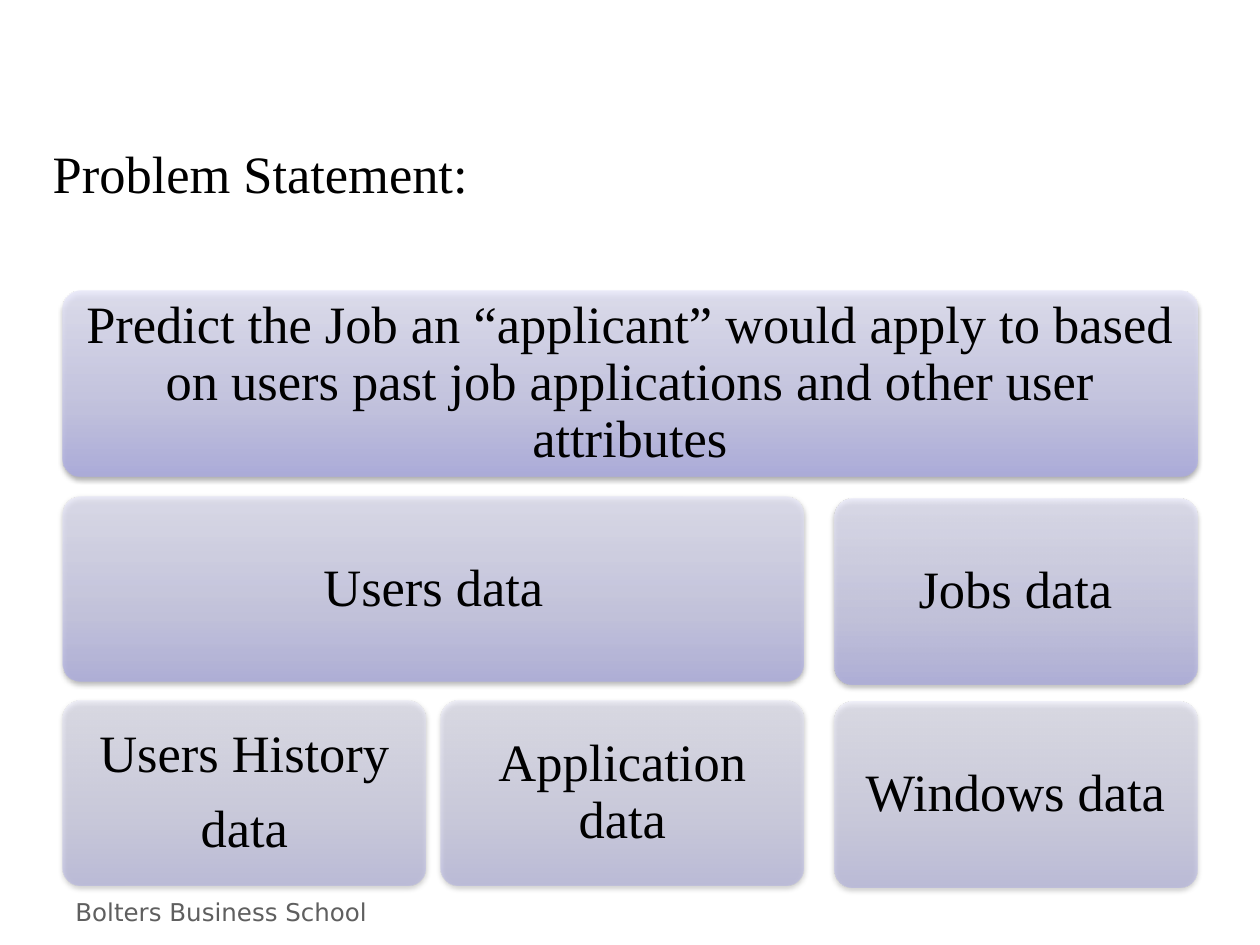
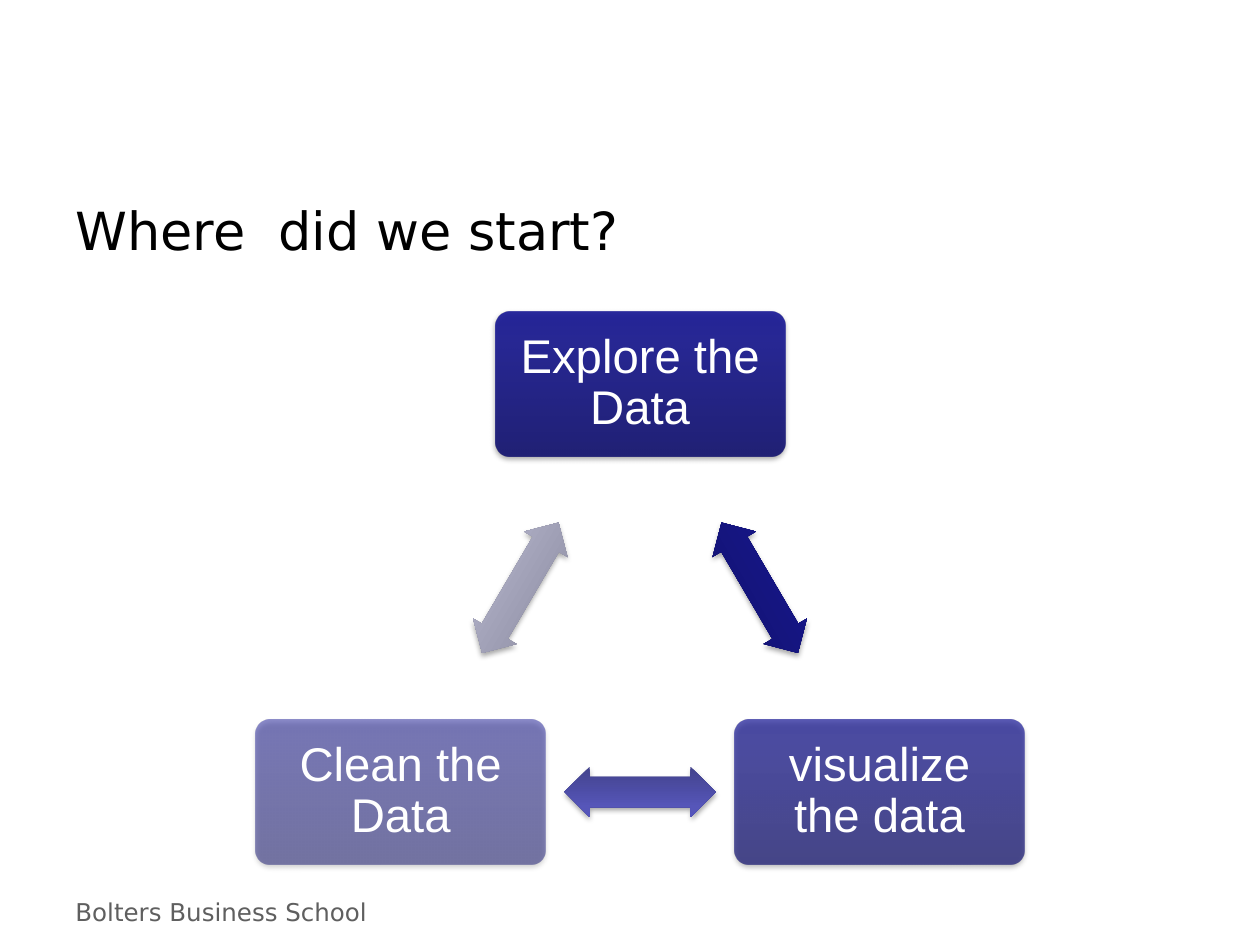
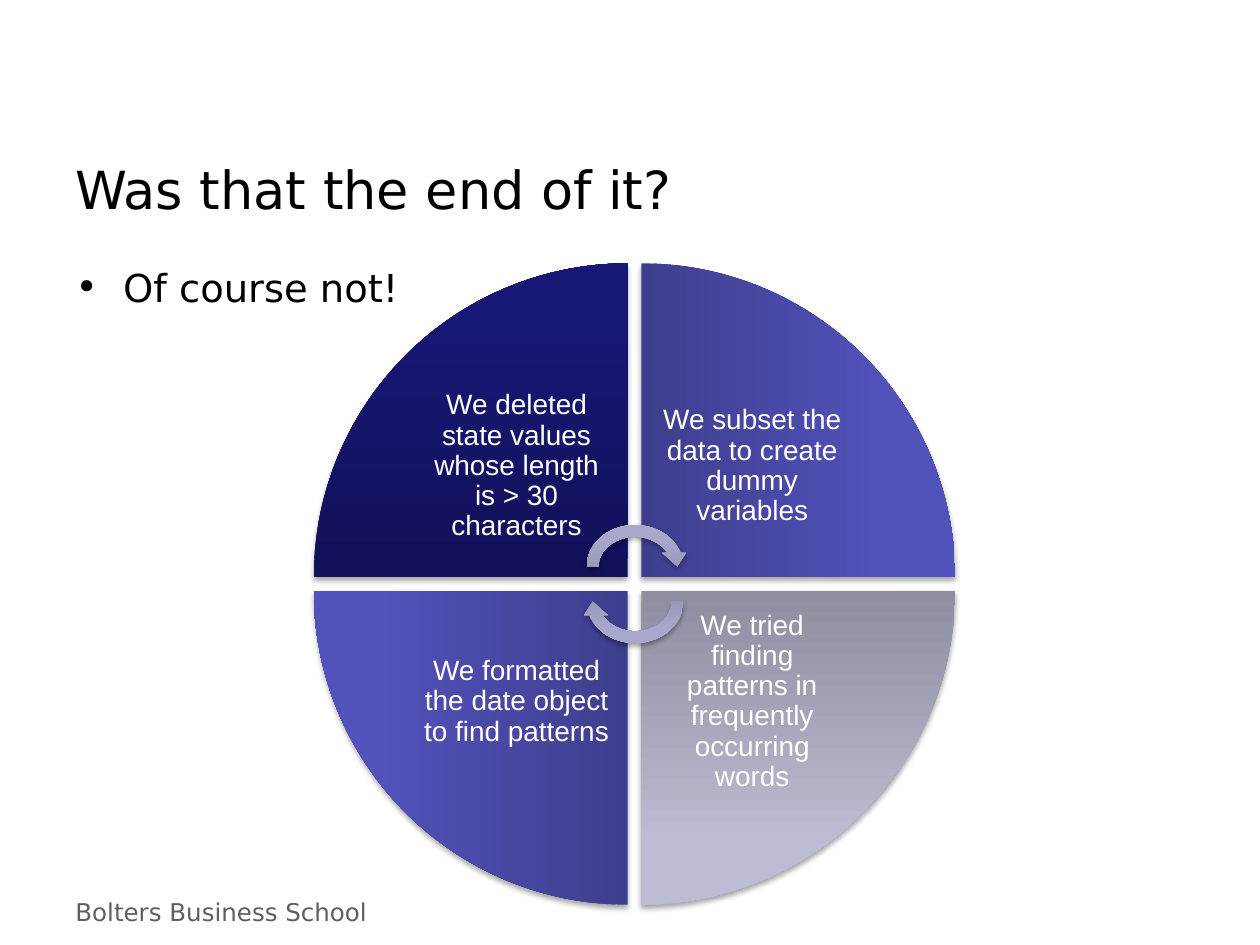
from math import atan2, degrees

from lxml.etree import SubElement
from pptx import Presentation
from pptx.dml.color import RGBColor
from pptx.enum.shapes import MSO_SHAPE
from pptx.enum.text import MSO_ANCHOR, PP_ALIGN
from pptx.oxml.ns import qn
from pptx.util import Inches, Pt

BLACK, WHITE, GREY = "000000", "FFFFFF", "5F5F5F"
HEADING_FONT, SERIF_FONT, DIAGRAM_FONT = "DejaVu Sans", "Times New Roman", "Arial"
FOOTER = "Bolters Business School"

# Gradient stops run from the bottom edge to the top edge.
TILE_STOPS = [(0, "A9A9E1"), (35, "C4C4E7"), (100, "E6E6F8")]
NODE_STOPS = [(0, "13136F"), (80, "1A1A92"), (100, "171796")]
NAVY_STOPS = [(0, "111159"), (80, "171775"), (100, "161677")]
VIOLET_STOPS = [(0, "3E3E8E"), (80, "5252BB"), (100, "5252BC")]
SILVER_STOPS = [(0, "8E8EA1"), (80, "BCBCD2"), (100, "BCBCD5")]
TURN_STOPS = [(0, "7F7F9B"), (80, "A8A8CC"), (100, "A9A9CD")]


def rgb(value):
    return RGBColor.from_string(value)


def label(slide, text, left, top, width, height, font=DIAGRAM_FONT, size=16, color=BLACK,
          align=PP_ALIGN.LEFT, anchor=MSO_ANCHOR.TOP, inset=(0.1, 0.05),
          line_spacing=None, space_before=0, bullet=None):
    """Add a text box, with one paragraph for each line of the text."""
    box = slide.shapes.add_textbox(Inches(left), Inches(top), Inches(width), Inches(height))
    frame = box.text_frame
    frame.word_wrap = True
    frame.vertical_anchor = anchor
    frame.margin_left = frame.margin_right = Inches(inset[0])
    frame.margin_top = frame.margin_bottom = Inches(inset[1])
    for index, line in enumerate(text.split("\n")):
        paragraph = frame.add_paragraph() if index else frame.paragraphs[0]
        paragraph.alignment = align
        paragraph.line_spacing = line_spacing
        if index:
            paragraph.space_before = Pt(space_before)
        if bullet:
            properties = paragraph._p.get_or_add_pPr()
            properties.set("marL", str(Inches(0.38)))
            properties.set("indent", str(-Inches(0.38)))
            SubElement(properties, qn("a:buFont"), typeface=font)
            SubElement(properties, qn("a:buChar"), char=bullet)
        run = paragraph.add_run()
        run.text = line
        run.font.name = font
        run.font.size = Pt(size)
        run.font.color.rgb = rgb(color)


def diagram_label(slide, text, left, top, width, height, inset, **text_format):
    label(slide, text, left, top, width, height, inset=(inset, inset),
          align=PP_ALIGN.CENTER, anchor=MSO_ANCHOR.MIDDLE, line_spacing=0.9, **text_format)


def shaded_shape(slide, preset, left, top, width, height, stops, adjustments=(),
                 rotation=0, opacity=100, shadow_opacity=35, shadow_distance=1.8):
    """Add a preset shape with a gradient and a soft shadow, and no line."""
    shape = slide.shapes.add_shape(preset, Inches(left), Inches(top),
                                   Inches(width), Inches(height))
    for index, value in enumerate(adjustments):
        shape.adjustments[index] = value
    shape.rotation = rotation
    shape.fill.gradient()
    shape.fill.gradient_angle = 90
    stop_list = shape._element.spPr.find(qn("a:gradFill")).find(qn("a:gsLst"))
    for old_stop in list(stop_list):
        stop_list.remove(old_stop)
    for position, color in stops:
        stop = SubElement(stop_list, qn("a:gs"), pos=str(position * 1000))
        tint = SubElement(stop, qn("a:srgbClr"), val=color)
        if opacity < 100:
            SubElement(tint, qn("a:alpha"), val=str(opacity * 1000))
    shape.line.fill.background()
    shape.shadow.inherit = False
    effects = shape._element.spPr.find(qn("a:effectLst"))
    shadow = SubElement(effects, qn("a:outerShdw"), blurRad=str(Pt(3.1)),
                        dist=str(Pt(shadow_distance)), dir="5400000", rotWithShape="0")
    shadow_color = SubElement(shadow, qn("a:srgbClr"), val=BLACK)
    SubElement(shadow_color, qn("a:alpha"), val=str(shadow_opacity * 1000))


def new_slide(deck, title, left, top, height, font=HEADING_FONT):
    """Add a blank slide with the shared title style and footer."""
    slide = deck.slides.add_slide(deck.slide_layouts[6])
    label(slide, FOOTER, 0.5, 7.07, 3.71, 0.33, font=HEADING_FONT, size=14, color=GREY)
    label(slide, title, left, top, 9, height, font=font, size=30, anchor=MSO_ANCHOR.MIDDLE)
    return slide


def data_tiles(slide, left, top):
    column_lefts, column_width = (0, 3, 6.12), 2.88
    row_tops, row_height = (0, 1.63, 3.25), 1.47
    row_opacities = (80, 70, 50)
    margin = 0.04
    # Text, row, first column, last column, drop below the row
    tiles = [
        ("Predict the Job an “applicant” would apply to based on users past job "
         "applications and other user attributes", 0, 0, 2, 0),
        ("Users data", 1, 0, 1, 0),
        ("Users History\ndata", 2, 0, 0, 0),
        ("Application data", 2, 1, 1, 0),
        ("Jobs data", 1, 2, 2, 0.02),
        ("Windows data", 2, 2, 2, 0.01),
    ]
    for text, row, first, last, drop in tiles:
        x, y = left + column_lefts[first], top + row_tops[row] + drop
        width = column_lefts[last] + column_width - column_lefts[first]
        shaded_shape(slide, MSO_SHAPE.ROUNDED_RECTANGLE, x, y, width, row_height,
                     TILE_STOPS, [0.1], opacity=row_opacities[row],
                     shadow_opacity=38, shadow_distance=1.6)
        diagram_label(slide, text, x + margin, y + margin, width - 2 * margin,
                      row_height - 2 * margin, 0.12, font=SERIF_FONT, size=30,
                      space_before=10.5)


def data_cycle(slide, left, top):
    """Three steps on a triangle, with a double arrow midway along each side."""
    node_width, node_height = 2.3, 1.15
    arrow_width, arrow_height = 1.2, 0.4
    margin = 0.04
    # Text, left and top of the node, opacity, stops of the arrow to the next node
    steps = [
        ("Explore the Data", (1.9, 0), 90, [(0, "11116A"), (80, "17178B"), (100, "15158E")]),
        ("visualize the data", (3.8, 3.24), 70, [(0, "42428C"), (80, "5656B9"), (100, "5555BC")]),
        ("Clean the Data", (0, 3.24), 50, [(0, "868699"), (80, "B1B1C9"), (100, "B1B1CB")]),
    ]
    for index, (text, (x, y), opacity, arrow_stops) in enumerate(steps):
        shaded_shape(slide, MSO_SHAPE.ROUNDED_RECTANGLE, left + x, top + y,
                     node_width, node_height, NODE_STOPS, [0.1], opacity=opacity)
        diagram_label(slide, text, left + x + margin, top + y + margin,
                      node_width - 2 * margin, node_height - 2 * margin, 0.11,
                      size=27, color=WHITE)

        next_x, next_y = steps[(index + 1) % len(steps)][1]
        shaded_shape(slide, MSO_SHAPE.LEFT_RIGHT_ARROW,
                     left + (x + next_x + node_width - arrow_width) / 2,
                     top + (y + next_y + node_height - arrow_height) / 2,
                     arrow_width, arrow_height, arrow_stops, [0.6, 0.5],
                     rotation=degrees(atan2(next_y - y, next_x - x)) % 360)


def cleaning_wheel(slide, left, top):
    """Four quarter discs, clockwise from the top left, around two turning arrows."""
    radius, pitch, text_size = 2.49, 2.6, 1.76
    quarters = [
        ("We deleted state values whose length is > 30 characters", 0, 0, NAVY_STOPS),
        ("We subset the data to create dummy variables", 1, 0, VIOLET_STOPS),
        ("We tried finding patterns in frequently occurring words", 1, 1, SILVER_STOPS),
        ("We formatted the date object to find patterns", 0, 1, VIOLET_STOPS),
    ]
    for index, (text, column, row, stops) in enumerate(quarters):
        x, y = left + column * pitch, top + row * pitch
        shaded_shape(slide, MSO_SHAPE.PIE_WEDGE, x, y, radius, radius, stops,
                     rotation=90 * index)
        diagram_label(slide, text, x + (1 - column) * (radius - text_size),
                      y + (1 - row) * (radius - text_size), text_size, text_size,
                      0.13, color=WHITE)

    for turn_top, rotation in ((2.03, 0), (2.31, 180)):
        shaded_shape(slide, MSO_SHAPE.CIRCULAR_ARROW, left + 2.12, top + turn_top,
                     0.86, 0.75, TURN_STOPS, rotation=rotation)


def main():
    deck = Presentation()
    deck.slide_width, deck.slide_height = Inches(10), Inches(7.5)

    problem = new_slide(deck, "Problem Statement:", 0.32, 1.04, 0.65, SERIF_FONT)
    data_tiles(problem, 0.5, 2.31)

    start = new_slide(deck, "Where  did we start?", 0.5, 1.24, 1.17)
    data_cycle(start, 2.03, 2.47)

    cleaning = new_slide(deck, "Was that the end of it?", 0.5, 1.06, 0.88)
    label(cleaning, "Of course not!", 0.5, 2.05, 9, 4.75,
          font=HEADING_FONT, size=22, bullet="•")
    cleaning_wheel(cleaning, 2.49, 2.09)

    deck.save("out.pptx")


if __name__ == "__main__":
    main()
